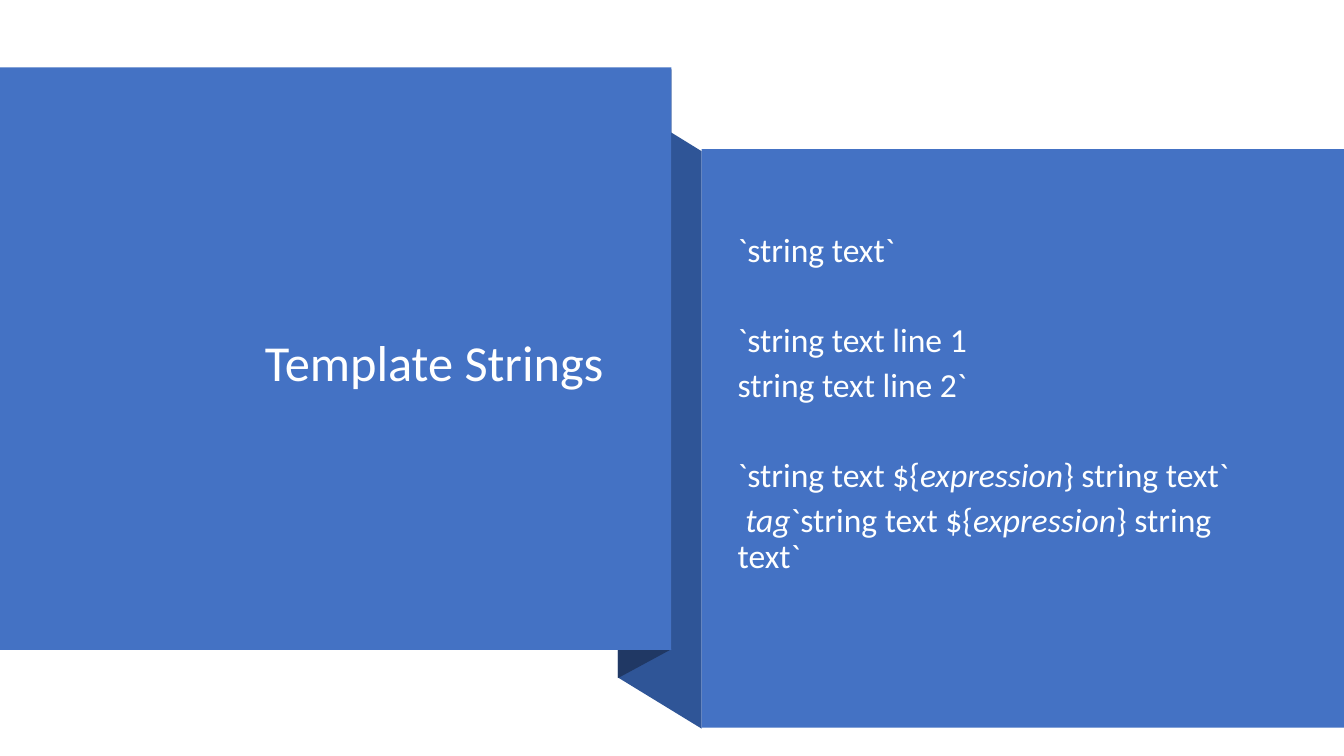
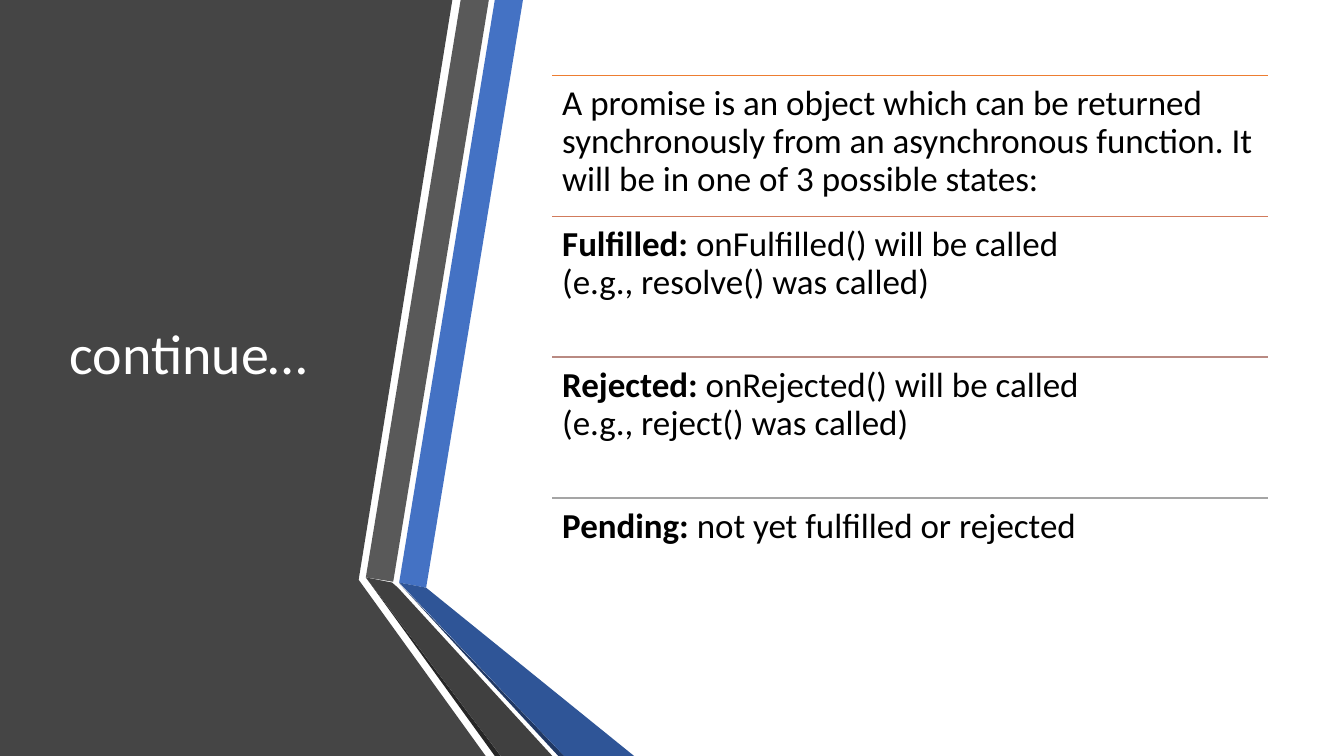
"""Build two slides on template strings and promises."""
from collections import namedtuple

from lxml.etree import SubElement
from pptx import Presentation
from pptx.dml.color import RGBColor
from pptx.enum.shapes import MSO_CONNECTOR, MSO_SHAPE
from pptx.enum.text import MSO_ANCHOR, MSO_AUTO_SIZE, PP_ALIGN
from pptx.oxml.ns import qn
from pptx.util import Cm, Pt

Box = namedtuple("Box", "left top width height")
PAGE = Box(0, 0, 33.87, 19.05)
BLUE, DEEP_BLUE, NAVY = "4472C4", "2F5597", "203864"
WHITE, BLACK = "FFFFFF", "000000"
FRAME = {"word_wrap": True, "auto_size": MSO_AUTO_SIZE.NONE,
         "vertical_anchor": MSO_ANCHOR.MIDDLE}
NO_INSET = {"margin_left": 0, "margin_right": 0, "margin_top": 0}
CODE_FRAME = {**FRAME, **NO_INSET, "margin_bottom": Cm(1.13)}
ROW_FRAME = {**FRAME, "vertical_anchor": MSO_ANCHOR.TOP,
             **{"margin_" + side: Cm(0.25)
                for side in ("left", "right", "top", "bottom")}}
PARAGRAPH = {"alignment": PP_ALIGN.LEFT, "line_spacing": 0.9,
             "space_before": Pt(0), "space_after": Pt(0)}
CODE_LINE = {**PARAGRAPH, "space_after": Pt(6)}
CODE_BREAK = {**CODE_LINE, "space_before": Pt(32.4)}

SNIPPETS = [
    (CODE_LINE, ["`string text`"]),
    (CODE_BREAK, ["`string text line 1"]),
    (CODE_LINE, ["string text line 2`"]),
    (CODE_BREAK, ["`string text ${", "expression", "} string text`"]),
    (CODE_LINE, [" ", "tag", "`string text ${", "expression",
                 "} string text`"]),
]
STATES = [
    ("ED7D31", "", "A promise is an object which can be returned "
     "synchronously from an asynchronous function. It will be in one of "
     "3 possible states:"),
    ("D17B5C", "Fulfilled:", "\u00a0onFulfilled()\u00a0will be called "
     "(e.g.,\u00a0resolve()\u00a0was called)"),
    ("B98A82", "Rejected:", "\u00a0onRejected()\u00a0will be called "
     "(e.g.,\u00a0reject()\u00a0was called)"),
    ("A5A5A5", "Pending:", "\u00a0not yet fulfilled or rejected"),
]
RIBBONS = [
    ("454545", [(0, 0), (11.4, 0), (9.04, 14.61), (12.24, 19.05),
                (0, 19.05)]),
    (BLUE, [(10.06, 14.68), (10.74, 14.81), (13.18, 0), (12.47, 0)]),
    ("595959", [(12.32, 0), (11.61, 0), (9.22, 14.55), (9.91, 14.66)]),
    ("262626", [(9.22, 14.55), (12.47, 19.05), (12.62, 19.05)]),
    (NAVY, [(10.06, 14.7), (14.07, 19.05), (14.22, 19.05)]),
    (DEEP_BLUE, [(10.06, 14.68), (14.22, 19.05), (15.98, 19.05),
                 (10.74, 14.81)]),
    ("404040", [(13.92, 19.05), (10.03, 14.81), (9.88, 14.68),
                (9.22, 14.55), (12.62, 19.05)]),
]
FOLDS = [
    (DEEP_BLUE, [(17.68, 18.36), (15.57, 17.07), (15.57, 2.51),
                 (17.68, 3.81)]),
    (NAVY, [(16.92, 16.36), (15.57, 17.09), (15.57, 2.49), (16.92, 1.75)]),
]


def colour(code):
    """Turn a hex string into a colour."""
    return RGBColor.from_string(code)


def apply(target, formats):
    """Set each named attribute on the target."""
    for name, value in formats.items():
        setattr(target, name, value)


def lengths(box):
    """Turn a box into lengths."""
    return [Cm(value) for value in box]


def within(box, left, top, width, height):
    """Place a box relative to another one."""
    return Box(box.left + left, box.top + top, width, height)


def paint(shape, code):
    """Give a shape a plain fill without line or shadow."""
    shape.shadow.inherit = False
    shape.fill.solid()
    shape.fill.fore_color.rgb = colour(code)
    shape.line.fill.background()


def add_outlines(page, box, outlines):
    """Draw filled polygons relative to the box."""
    for code, corners in outlines:
        points = [(Cm(box.left + x), Cm(box.top + y)) for x, y in corners]
        builder = page.shapes.build_freeform(*points[0], scale=1.0)
        builder.add_line_segments(points[1:], close=True)
        paint(builder.convert_to_shape(), code)


def add_panel(page, box):
    """Draw a blue panel filling the box."""
    paint(page.shapes.add_shape(MSO_SHAPE.RECTANGLE, *lengths(box)), BLUE)


def add_span(para, text, size, code, **formats):
    """Append formatted text to a paragraph."""
    span = para.add_run()
    span.text = text
    apply(span.font, {"name": "Calibri", "size": Pt(size), **formats})
    span.font.color.rgb = colour(code)


def place(holder, box, frame):
    """Move a placeholder to the box, in front of the shapes."""
    apply(holder, dict(zip(Box._fields, lengths(box))))
    apply(holder.text_frame, frame)
    holder.element.getparent().append(holder.element)


def add_title(page, box, text, size, alignment=PP_ALIGN.LEFT):
    """Fill the title placeholder."""
    title = page.shapes.title
    place(title, box, FRAME)
    para = title.text_frame.paragraphs[0]
    apply(para, {**PARAGRAPH, "alignment": alignment})
    add_span(para, text, size, WHITE)


def add_snippets(page, box):
    """Fill the body placeholder, with every second span in italics."""
    body = page.placeholders[1]
    place(body, box, CODE_FRAME)
    frame = body.text_frame
    for number, (formats, pieces) in enumerate(SNIPPETS):
        para = frame.add_paragraph() if number else frame.paragraphs[0]
        apply(para, formats)
        properties = para._p.get_or_add_pPr()
        apply_indent = {"marL": "0", "indent": "0"}
        for name, value in apply_indent.items():
            properties.set(name, value)
        SubElement(properties, qn("a:buNone"))
        for index, piece in enumerate(pieces):
            add_span(para, piece, 24, "FEFFFF", italic=index % 2 == 1)


def add_state(page, box, code, label, text):
    """Draw one promise state under a thin rule."""
    left, top, width, height = lengths(box)
    rule = page.shapes.add_connector(
        MSO_CONNECTOR.STRAIGHT, left, top, left + width, top)
    rule.line.color.rgb = colour(code)
    rule.line.width = Pt(1)
    SubElement(rule.element.spPr, qn("a:effectLst"))
    frame = page.shapes.add_textbox(left, top, width, height).text_frame
    apply(frame, ROW_FRAME)
    para = frame.paragraphs[0]
    apply(para, PARAGRAPH)
    if label:
        add_span(para, label, 25, BLACK, bold=True)
    add_span(para, text, 25, BLACK)


def add_states(page, box):
    """Stack the states in equal rows."""
    height = box.height / len(STATES)
    for number, state in enumerate(STATES):
        row = within(box, 0, number * height, box.width, height)
        add_state(page, row, *state)


def build_strings_page(page, box):
    """Lay out the folded panels with the title and the snippets."""
    add_outlines(page, box, FOLDS)
    add_panel(page, within(box, 0, 1.7, 16.92, 14.68))
    add_panel(page, within(box, 17.68, 3.76, 16.19, 14.58))
    add_title(page, within(box, 2.41, 3.35, 13.06, 11.68),
              "Template Strings", 36, PP_ALIGN.RIGHT)
    add_snippets(page, within(box, 18.59, 4.7, 13.06, 12.12))


def build_promise_page(page, box):
    """Lay out the ribbons with the title and the states."""
    body = page.placeholders[1].element
    body.getparent().remove(body)
    add_outlines(page, box, RIBBONS)
    add_title(page, within(box, 1.5, 1.9, 7.72, 14.17), "continue…", 40)
    add_states(page, within(box, 13.92, 1.9, 18.03, 14.2))


def main():
    """Build and save the deck."""
    deck = Presentation()
    deck.slide_width, deck.slide_height = Cm(PAGE.width), Cm(PAGE.height)
    for build in (build_strings_page, build_promise_page):
        build(deck.slides.add_slide(deck.slide_layouts[1]), PAGE)
    deck.save("out.pptx")


main()
